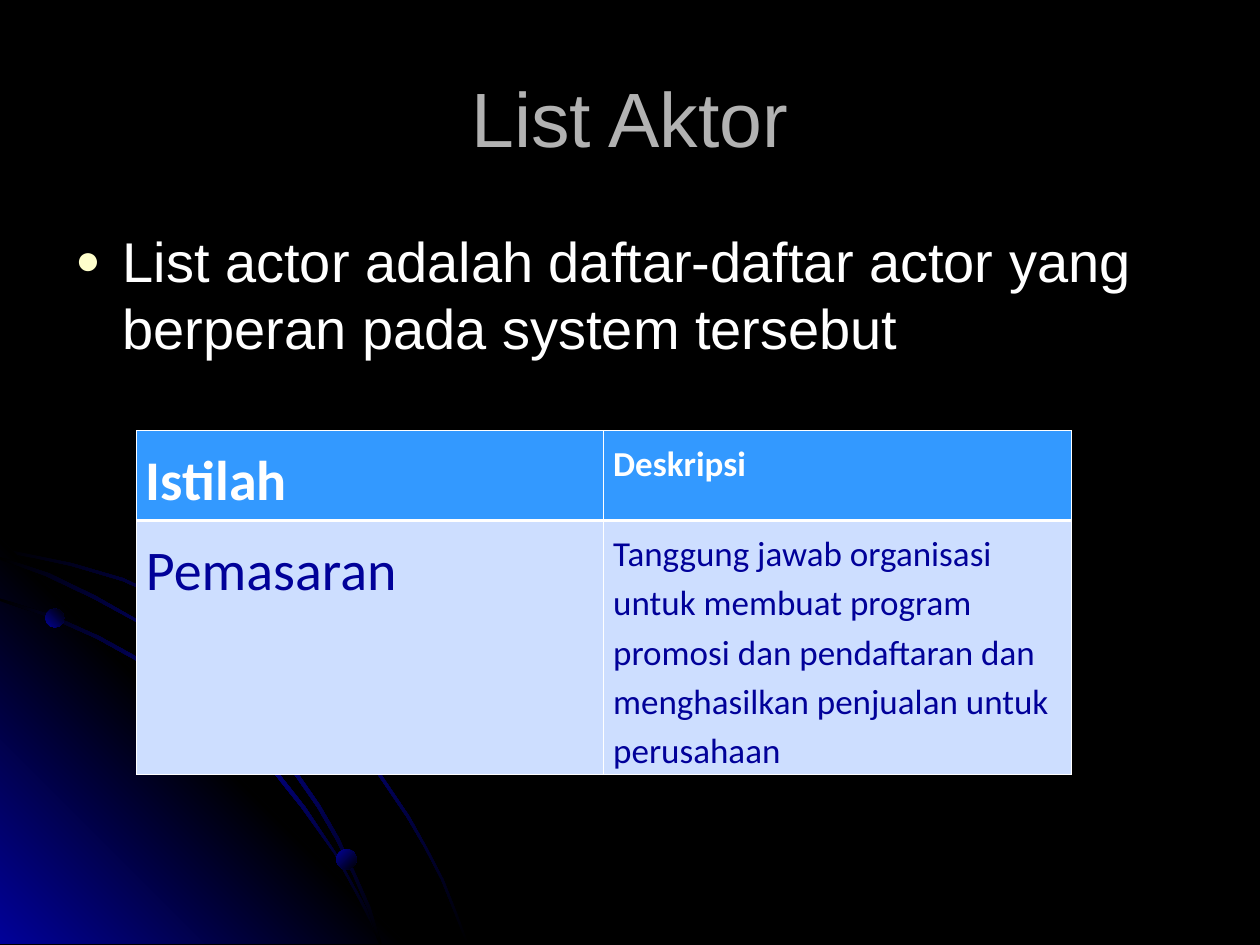
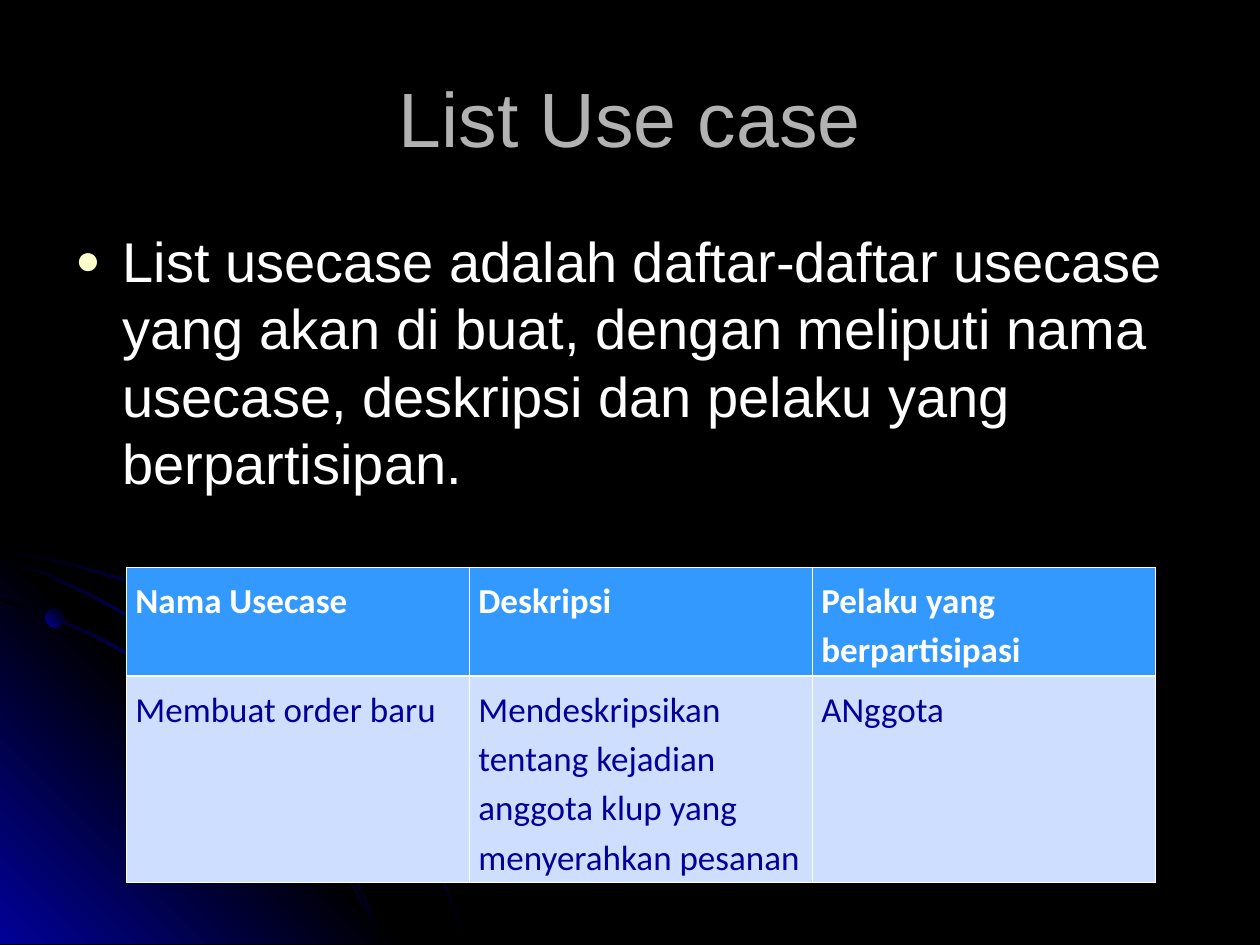
"""Build two dark slides that list the actors and the use cases of a system."""

from pptx import Presentation
from pptx.dml.color import RGBColor
from pptx.enum.shapes import MSO_SHAPE as Preset
from pptx.enum.text import MSO_ANCHOR as Anchor, PP_ALIGN as Align
from pptx.oxml import parse_xml
from pptx.oxml.ns import nsdecls
from pptx.util import Pt

SLIDES = [
    {
        "title": "List Aktor",
        "bullet": "List actor adalah daftar-daftar actor yang berperan pada system tersebut",
        "rows": [
            ("Istilah", "Deskripsi"),
            (
                "Pemasaran",
                "Tanggung jawab organisasi untuk membuat program promosi dan "
                "pendaftaran dan menghasilkan penjualan untuk perusahaan",
            ),
        ],
        "column_sizes": (32, 20),
        "table_at": (78, 246),
        "column_width": 267,
        "row_heights": (44, 138),
    },
    {
        "title": "List Use case",
        "bullet": "List usecase adalah daftar-daftar usecase yang akan di buat, dengan "
        "meliputi nama usecase, deskripsi dan pelaku yang berpartisipan.",
        "rows": [
            ("Nama Usecase", "Deskripsi", "Pelaku yang berpartisipasi"),
            (
                "Membuat order baru",
                "Mendeskripsikan tentang kejadian anggota klup yang menyerahkan pesanan",
                "ANggota",
            ),
        ],
        "column_sizes": (20, 20, 20),
        "table_at": (72, 324),
        "column_width": 196,
        "row_heights": (55.5, 110),
    },
]

BLACK, NAVY, WHITE = "000000", "010199", "FFFFFF"
TITLE_GREY, BULLET_CREAM = "B2B2B2", "FFFFCC"
HEADER_BLUE, ROW_BLUE = "3399FF", "CDDEFF"
THIN, THICK = 0.45, 1.47

GRID_UNIT = Pt(0.72)
ARC_FADE = ((BLACK, NAVY, BLACK), 45)
UPPER_ARC = [
    (57, 447), (28, 441), (0, 435), (0, 438), (28, 443), (56, 449), (97, 461),
    (135, 478), (173, 499), (208, 523), (241, 549), (271, 579), (298, 612),
    (323, 649), (337, 673), (350, 698), (360, 723), (370, 749), (372, 749),
    (362, 723), (352, 698), (339, 673), (325, 648), (300, 611), (272, 578),
    (242, 548), (209, 521), (174, 497), (136, 477), (98, 459),
]
CORNER_GLOW = [(322, 749), (0, 749), (0, 427)]
LOWER_ARC = [
    (285, 714), (294, 732), (301, 749), (303, 749), (296, 730), (286, 712),
    (266, 676), (242, 640), (215, 606), (184, 576), (152, 549), (117, 526),
    (79, 505), (41, 488), (0, 475), (0, 477), (39, 490), (77, 507), (115, 528),
    (150, 551), (183, 578), (213, 608), (240, 642), (265, 677),
]
MIDDLE_ARC = [
    (0, 442), (0, 444), (36, 457), (74, 475), (109, 494), (142, 518), (173, 544),
    (202, 575), (227, 605), (252, 641), (267, 667), (280, 694), (292, 722),
    (301, 749), (303, 749), (294, 720), (282, 693), (269, 665), (254, 639),
    (229, 603), (204, 573), (175, 543), (144, 516), (111, 493), (76, 473), (39, 455),
]
OUTLINES = [
    (UPPER_ARC, *ARC_FADE),
    (CORNER_GLOW, (NAVY, BLACK, NAVY), 315),
    (LOWER_ARC, *ARC_FADE),
    (MIDDLE_ARC, *ARC_FADE),
]
BEADS = [
    (25.92, 347.76, 10.8, 315),
    (192.24, 485.28, 11.52, 45),
    (98.64, 340.56, 15.12, 315),
]


def color(hex_string):
    """Turn a hex string into a colour."""
    return RGBColor.from_string(hex_string)


def write(frame, text, size, font="Arial", ink=WHITE, bold=False, align=Align.LEFT,
          line_spacing=None, space_before=0):
    """Put formatted text in the first paragraph of a frame and return it."""
    frame.word_wrap = True
    paragraph = frame.paragraphs[0]
    paragraph.alignment = align
    paragraph.line_spacing = line_spacing
    paragraph.space_before = Pt(space_before)
    run = paragraph.add_run()
    run.text = text
    run.font.size, run.font.name, run.font.bold = Pt(size), font, bold
    run.font.color.rgb = color(ink)
    return paragraph


def add_bullet(paragraph):
    """Give a paragraph a hanging round bullet."""
    properties = paragraph._p.get_or_add_pPr()
    properties.set("marL", str(Pt(27)))
    properties.set("indent", str(-Pt(27)))
    for markup in (
        f'<a:buClr {nsdecls("a")}><a:srgbClr val="{BULLET_CREAM}"/></a:buClr>',
        f'<a:buSzPct {nsdecls("a")} val="75000"/>',
        f'<a:buFont {nsdecls("a")} typeface="Arial"/>',
        f'<a:buChar {nsdecls("a")} char="●"/>',
    ):
        properties.append(parse_xml(markup))


def fade(shape, colors, angle):
    """Fill a shape with evenly spaced gradient stops and no outline."""
    shape.shadow.inherit = False
    shape.line.fill.background()
    shape.fill.gradient()
    gradient = shape.element.spPr.find(
        "{http://schemas.openxmlformats.org/drawingml/2006/main}gradFill")
    step = 100000 // (len(colors) - 1)
    stops = "".join(
        f'<a:gs pos="{index * step}"><a:srgbClr val="{stop}"/></a:gs>'
        for index, stop in enumerate(colors)
    )
    gradient.getparent().replace(gradient, parse_xml(
        f'<a:gradFill {nsdecls("a")} rotWithShape="1"><a:gsLst>{stops}</a:gsLst>'
        f'<a:lin ang="{angle * 60000}" scaled="0"/></a:gradFill>'))


def decorate_master(master, slide):
    """Draw the glowing corner and move it to the master behind all slides."""
    master.background.fill.solid()
    master.background.fill.fore_color.rgb = color(BLACK)
    decorations = []
    for points, colors, angle in OUTLINES:
        builder = slide.shapes.build_freeform(*points[0], scale=GRID_UNIT)
        builder.add_line_segments(points[1:], close=True)
        shape = builder.convert_to_shape()
        fade(shape, colors, angle)
        decorations.append(shape)
    for left, top, size, angle in BEADS:
        shape = slide.shapes.add_shape(
            Preset.OVAL, Pt(left), Pt(top), Pt(size), Pt(size))
        fade(shape, (NAVY, BLACK), angle)
        decorations.append(shape)
    for number, shape in enumerate(decorations, 101):
        shape.element.xpath("./p:nvSpPr/p:cNvPr")[0].set("id", str(number))
        master.shapes.element.append(shape.element)


def set_borders(cell, top, bottom):
    """Draw white borders round a cell."""
    properties = cell._tc.get_or_add_tcPr()
    widths = {"lnL": THIN, "lnR": THIN, "lnT": top, "lnB": bottom}
    for index, (side, width) in enumerate(widths.items()):
        properties.insert(index, parse_xml(
            f'<a:{side} {nsdecls("a")} w="{Pt(width)}"><a:solidFill>'
            f'<a:srgbClr val="{WHITE}"/></a:solidFill></a:{side}>'))


def add_listing(slide, content):
    """Add the table with its header row."""
    rows, sizes = content["rows"], content["column_sizes"]
    left, top = content["table_at"]
    width, heights = content["column_width"], content["row_heights"]
    table = slide.shapes.add_table(
        len(rows), len(sizes), Pt(left), Pt(top),
        Pt(width * len(sizes)), Pt(sum(heights))).table
    table.horz_banding = False
    for column in table.columns:
        column.width = Pt(width)
    for row_index, texts in enumerate(rows):
        table.rows[row_index].height = Pt(heights[row_index])
        header = row_index == 0
        for column_index, text in enumerate(texts):
            cell = table.cell(row_index, column_index)
            cell.margin_left = cell.margin_right = Pt(5.4)
            cell.margin_top = cell.margin_bottom = Pt(3.6)
            cell.fill.solid()
            cell.fill.fore_color.rgb = color(HEADER_BLUE if header else ROW_BLUE)
            set_borders(cell, THIN if header else THICK, THICK if header else THIN)
            write(cell.text_frame, text, sizes[column_index], font="Calibri",
                  ink=WHITE if header else NAVY, bold=header, line_spacing=1.15)


def fill_slide(slide, content):
    """Place the title, the bullet and the table."""
    title = slide.shapes.title
    title.left, title.top, title.width, title.height = Pt(36), Pt(21.6), Pt(648), Pt(90)
    title.text_frame.vertical_anchor = Anchor.MIDDLE
    write(title.text_frame, content["title"], 44, ink=TITLE_GREY, align=Align.CENTER)
    body = slide.shapes.add_textbox(Pt(36), Pt(126), Pt(648), Pt(356.4))
    add_bullet(write(body.text_frame, content["bullet"], 32, space_before=8))
    add_listing(slide, content)


def main():
    """Create the presentation and save it."""
    presentation = Presentation()
    presentation.slide_width, presentation.slide_height = Pt(720), Pt(540)
    title_only = presentation.slide_layouts[5]
    slides = [presentation.slides.add_slide(title_only) for _ in SLIDES]
    decorate_master(presentation.slide_master, slides[0])
    for slide, content in zip(slides, SLIDES):
        fill_slide(slide, content)
    presentation.save("out.pptx")


if __name__ == "__main__":
    main()
